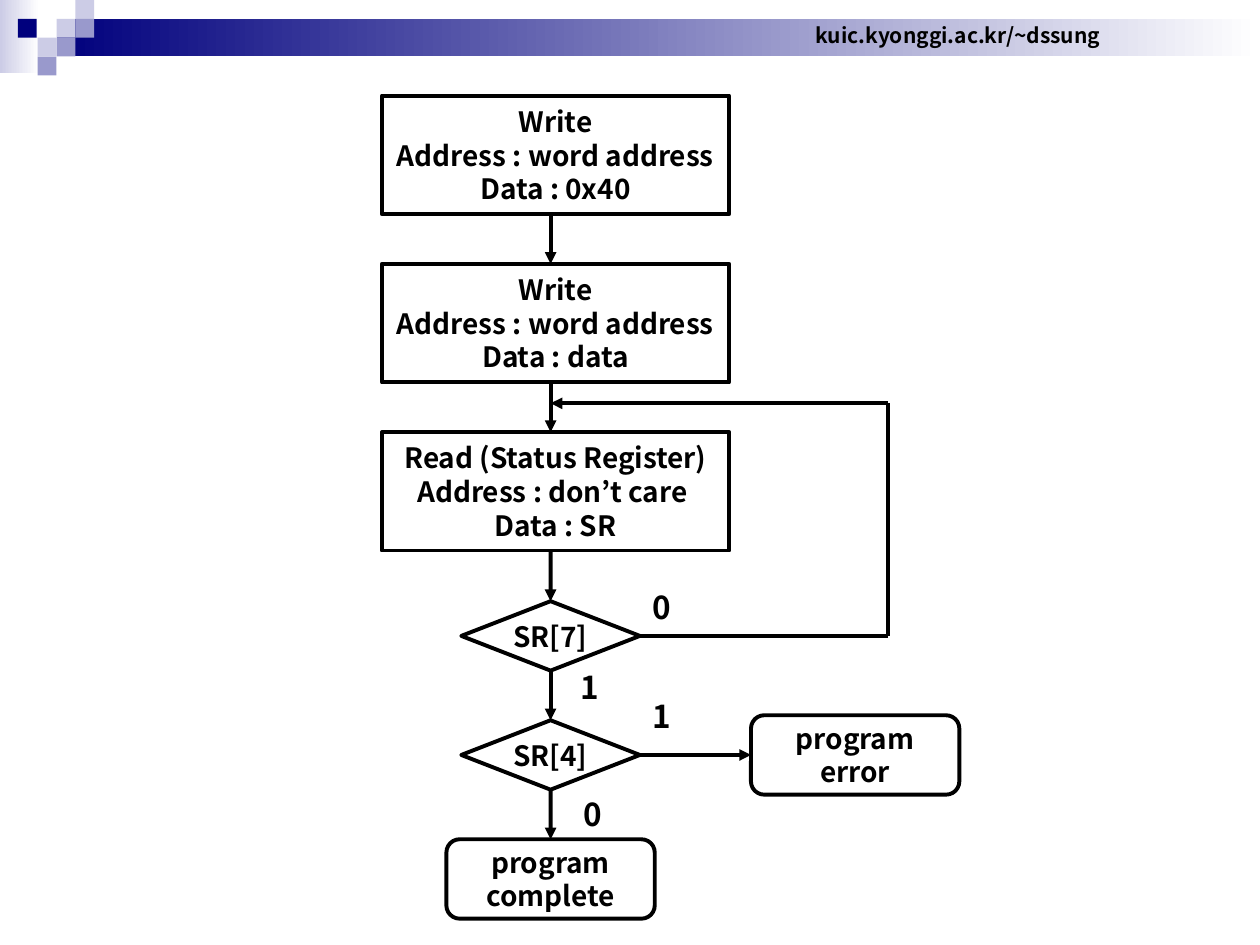
"""Build a flowchart slide for the word program sequence."""
from lxml import etree
from pptx import Presentation
from pptx import util as u
from pptx.dml.color import RGBColor
from pptx.enum import shapes, text
from pptx.oxml.ns import qn

FONT = "Noto Sans CJK KR"
BLACK, WHITE, NAVY, VIOLET, LILAC = "000000", "FFFFFF", "00007D", "9999CC", "CCCCE6"
KIND = shapes.MSO_SHAPE
TOP, LEFT, BOTTOM, RIGHT = range(4)

SITE = "kuic.kyonggi.ac.kr/~dssung"
GRADIENTS = [(0, 0, 0.79, 1.47, LILAC), (1.14, 0.38, 24.26, 0.76, NAVY)]
SQUARES = [(1.14, 1, LILAC), (1.52, 0, LILAC), (1.52, 1, VIOLET), (0.76, 2, LILAC),
           (0.36, 1, NAVY), (1.14, 2, VIOLET), (0.76, 3, VIOLET)]
COMMANDS = ["Write\nAddress : word address\nData : 0x40",
            "Write\nAddress : word address\nData : data",
            "Read (Status Register)\nAddress : don’t care \nData : SR"]
CHECKS = ["SR[7]", "SR[4]"]
BRANCHES = [("0", 12.9, 11.73), ("1", 11.46, 13.34), ("1", 12.9, 13.92), ("0", 11.51, 15.9)]

SQUARE = 0.38
AXIS = 11.1
COMMAND_LEFT, COMMAND_TOP, COMMAND_WIDTH, COMMAND_HEIGHT, COMMAND_STEP = 7.7, 1.93, 7, 2.39, 3.39
CHECK_TOP, CHECK_WIDTH, CHECK_HEIGHT, CHECK_STEP = 12.12, 3.6, 1.4, 2.4
END_WIDTH, END_HEIGHT, ERROR_LEFT = 4.2, 1.6, 15.14
LOOP_X, LOOP_Y = 17.91, 8.13


def color(value):
    return RGBColor.from_string(value)


def write(shape, content, size=16, align=text.PP_ALIGN.CENTER, anchor=text.MSO_ANCHOR.MIDDLE):
    frame = shape.text_frame
    frame.text = content
    frame.word_wrap = False
    frame.vertical_anchor = anchor
    for paragraph in frame.paragraphs:
        paragraph.alignment = align
        paragraph.line_spacing = u.Pt(size * 1.2)
        for run in paragraph.runs:
            run.font.size, run.font.bold, run.font.name = u.Pt(size), True, FONT
            run.font.color.rgb = color(BLACK)
            etree.SubElement(run.font._element, qn("a:ea"), typeface=FONT)


def add_shape(slide, kind, *box):
    shape = slide.shapes.add_shape(kind, *map(u.Cm, box))
    shape.shadow.inherit = False
    return shape


def add_block(slide, kind, *box, fill, fade=False):
    shape = add_shape(slide, kind, *box)
    shape.line.fill.background()
    if fade:
        shape.fill.gradient()
        shape.fill.gradient_angle = 0
        for stop, value in zip(shape.fill.gradient_stops, (fill, WHITE)):
            stop.color.rgb = color(value)
    else:
        shape.fill.solid()
        shape.fill.fore_color.rgb = color(fill)


def add_step(slide, kind, content, *box):
    shape = add_shape(slide, kind, *box)
    shape.fill.background()
    shape.line.color.rgb = color(BLACK)
    shape.line.width = u.Pt(2.25)
    write(shape, content)
    return shape


def add_label(slide, content, *box, **style):
    write(slide.shapes.add_textbox(*map(u.Cm, box)), content, **style)


def add_line(slide, start, end, source=None, target=None, arrow=True):
    line = slide.shapes.add_connector(shapes.MSO_CONNECTOR.STRAIGHT, *map(u.Cm, (*start, *end)))
    if source:
        line.begin_connect(*source)
    if target:
        line.end_connect(*target)
    line.line.color.rgb = color(BLACK)
    line.line.width = u.Pt(2.25)
    if arrow:
        etree.SubElement(line.line._get_or_add_ln(), qn("a:tailEnd"), type="triangle")
    etree.SubElement(line._element.spPr, qn("a:effectLst"))


def add_header(slide):
    for *box, fill in GRADIENTS:
        add_block(slide, KIND.RECTANGLE, *box, fill=fill, fade=True)
    for left, row, fill in SQUARES:
        add_block(slide, KIND.RECTANGLE, left, row * SQUARE, SQUARE, SQUARE, fill=fill)
    add_label(slide, SITE, 16.18, 0.33, 6.27, 0.76, size=12)


def add_flow(slide):
    command_tops = [COMMAND_TOP + i * COMMAND_STEP for i in range(len(COMMANDS))]
    for content, top in zip(COMMANDS, command_tops):
        add_step(slide, KIND.RECTANGLE, content, COMMAND_LEFT, top, COMMAND_WIDTH, COMMAND_HEIGHT)
    check_tops = [CHECK_TOP + i * CHECK_STEP for i in range(len(CHECKS))]
    checks = [add_step(slide, KIND.DIAMOND, content, AXIS - CHECK_WIDTH / 2, top,
                       CHECK_WIDTH, CHECK_HEIGHT) for content, top in zip(CHECKS, check_tops)]
    middles = [top + CHECK_HEIGHT / 2 for top in check_tops]
    end_top = check_tops[-1] + CHECK_STEP
    complete = add_step(slide, KIND.ROUNDED_RECTANGLE, "program\ncomplete",
                        AXIS - END_WIDTH / 2, end_top, END_WIDTH, END_HEIGHT)
    error = add_step(slide, KIND.ROUNDED_RECTANGLE, "program\nerror", ERROR_LEFT,
                     middles[1] - END_HEIGHT / 2, END_WIDTH, END_HEIGHT)

    tops = command_tops + check_tops + [end_top]
    heights = [COMMAND_HEIGHT] * len(COMMANDS) + [CHECK_HEIGHT] * len(CHECKS)
    joints = [None] * len(COMMANDS) + checks + [complete]
    for i, height in enumerate(heights):
        add_line(slide, (AXIS, tops[i] + height), (AXIS, tops[i + 1]),
                 joints[i] and (joints[i], BOTTOM), joints[i + 1] and (joints[i + 1], TOP))

    check_right = AXIS + CHECK_WIDTH / 2
    add_line(slide, (check_right, middles[1]), (ERROR_LEFT, middles[1]),
             (checks[1], RIGHT), (error, LEFT))
    add_line(slide, (check_right, middles[0]), (LOOP_X, middles[0]), (checks[0], RIGHT), arrow=False)
    add_line(slide, (LOOP_X, middles[0]), (LOOP_X, LOOP_Y), arrow=False)
    add_line(slide, (LOOP_X, LOOP_Y), (AXIS, LOOP_Y))
    for content, left, top in BRANCHES:
        add_label(slide, content, left, top, 0.86, 1.02, size=18,
                  align=text.PP_ALIGN.LEFT, anchor=text.MSO_ANCHOR.TOP)


def main():
    presentation = Presentation()
    presentation.slide_width, presentation.slide_height = u.Cm(25.4), u.Cm(19.05)
    slide = presentation.slides.add_slide(presentation.slide_layouts[6])
    add_header(slide)
    add_flow(slide)
    presentation.save("out.pptx")


if __name__ == "__main__":
    main()
